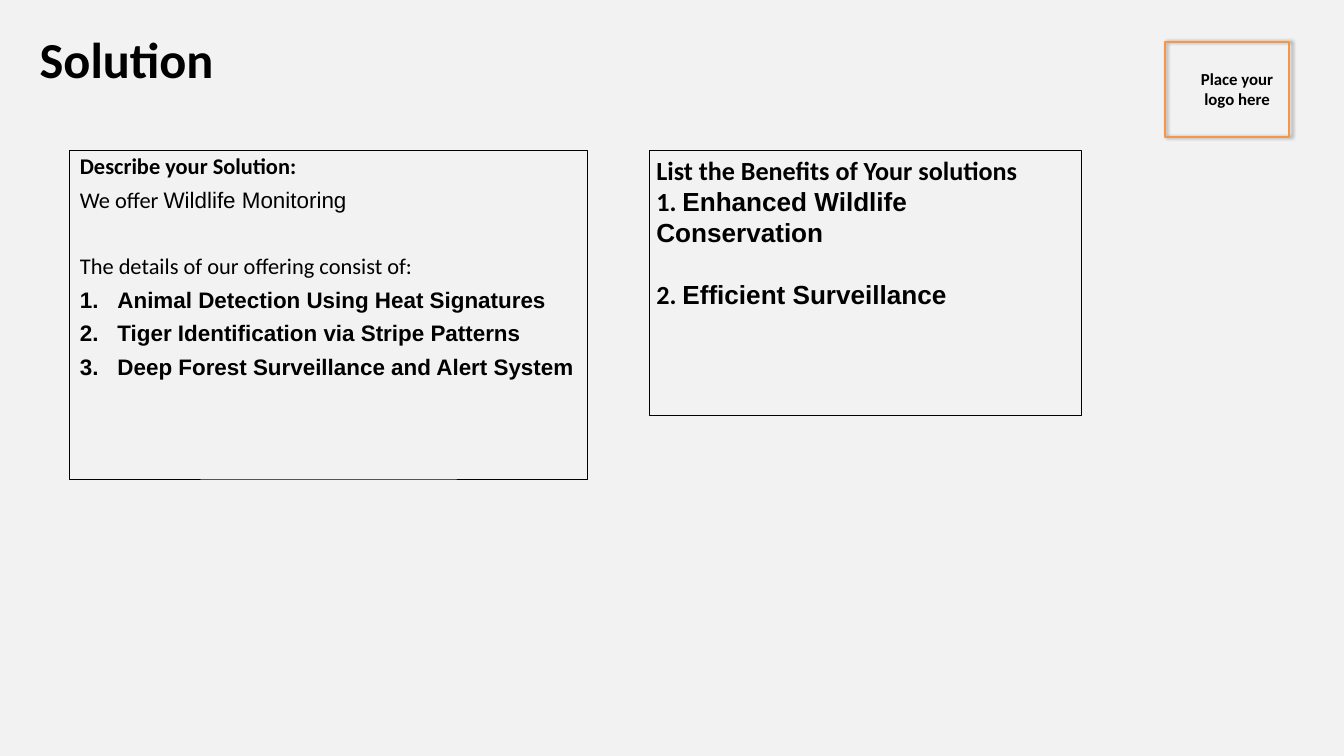
from lxml.etree import SubElement
from pptx import Presentation
from pptx.dml.color import RGBColor
from pptx.enum.shapes import MSO_SHAPE
from pptx.enum.text import MSO_ANCHOR, PP_ALIGN
from pptx.oxml.ns import qn
from pptx.util import Cm, Pt

COLORS = {"background": "F2F2F2", "ink": "000000", "frame": "F79646"}
HEADING_FONT, BODY_FONT = "Calibri", "Arial"
WIDE_INSETS, NARROW_INSETS = (0.38, 0.19), (0.18, 0.1)
BOX_TOP = 5.69
LIST_INDENT = Cm(1.42)

TITLE = {
    "place": (1.12, 0.08, 31.52, 3.28), "insets": WIDE_INSETS, "size": 54,
    "spacing": Pt(87.5),
    "lines": [{"runs": [("Solution", HEADING_FONT)], "bold": True}],
}
SOLUTION = {
    "place": (2.64, BOX_TOP, 19.58, 12.42), "insets": WIDE_INSETS, "size": 24,
    "spacing": 0.9, "before": 10, "outlined": True,
    "lines": [
        {"runs": [("Describe your Solution:", HEADING_FONT)], "bold": True},
        {"runs": [("We offer ", HEADING_FONT), ("Wildlife Monitoring", BODY_FONT)]},
        {"runs": [("The details of our offering consist of:", HEADING_FONT)], "before": 45},
    ] + [
        {"runs": [(offer, BODY_FONT)], "bold": True, "numbered": True}
        for offer in (
            "Animal Detection Using Heat Signatures",
            "Tiger Identification via Stripe Patterns",
            "Deep Forest Surveillance and Alert System",
        )
    ],
}
LOGO_HINT = {
    "place": (44.78, 2.51, 3.96, 1.73), "insets": NARROW_INSETS, "size": 18,
    "align": PP_ALIGN.CENTER,
    "lines": [{"runs": [("Place your logo here", HEADING_FONT)], "bold": True}],
}
LOGO_FRAME = (44.02, 1.6, 4.7, 3.58)
BENEFITS = {
    "place": (24.56, BOX_TOP, 16.31, 10.01), "insets": (0.25, 0.13), "size": 28,
    "outlined": True,
    "lines": [
        {"runs": [("List the Benefits of Your solutions", HEADING_FONT)], "bold": True},
        {"runs": [("1. ", HEADING_FONT), ("Enhanced Wildlife Conservation", BODY_FONT)],
         "bold": True},
        {"runs": [("2. ", HEADING_FONT), ("Efficient Surveillance", BODY_FONT)],
         "bold": True, "before": 33},
    ],
}


def color(name):
    return RGBColor.from_string(COLORS[name])


def add_outline(slide, place, line_color, width):
    outline = slide.shapes.add_shape(MSO_SHAPE.RECTANGLE, *map(Cm, place))
    outline.shadow.inherit = False
    outline.fill.background()
    outline.line.color.rgb = color(line_color)
    outline.line.width = Pt(width)
    return outline


def number(paragraph):
    properties = paragraph._p.get_or_add_pPr()
    properties.set("marL", str(LIST_INDENT))
    properties.set("indent", str(-LIST_INDENT))
    SubElement(properties, qn("a:buFont"), typeface="+mj-lt")
    SubElement(properties, qn("a:buAutoNum"), type="arabicPeriod")


def add_line(paragraph, line, block, first):
    paragraph.alignment = block.get("align", PP_ALIGN.LEFT)
    if "spacing" in block:
        paragraph.line_spacing = block["spacing"]
    before = line.get("before", block.get("before", 0))
    if before and not first:
        paragraph.space_before = Pt(before)
    if line.get("numbered"):
        number(paragraph)
    paragraph.font.size = Pt(block["size"])
    paragraph.font.bold = line.get("bold", False)
    paragraph.font.color.rgb = color("ink")
    fonts = {font for _, font in line["runs"]}
    if len(fonts) == 1:
        paragraph.font.name = line["runs"][0][1]
    for text, font in line["runs"]:
        run = paragraph.add_run()
        run.text = text
        if len(fonts) > 1:
            run.font.name = font


def add_block(slide, block):
    if block.get("outlined"):
        box = add_outline(slide, block["place"], "ink", 0.75)
    else:
        box = slide.shapes.add_textbox(*map(Cm, block["place"]))
    frame = box.text_frame
    frame.word_wrap = True
    frame.vertical_anchor = MSO_ANCHOR.TOP
    side, edge = map(Cm, block["insets"])
    frame.margin_left = frame.margin_right = side
    frame.margin_top = frame.margin_bottom = edge
    for index, line in enumerate(block["lines"]):
        paragraph = frame.add_paragraph() if index else frame.paragraphs[0]
        add_line(paragraph, line, block, index == 0)


def add_logo_frame(slide):
    logo_frame = add_outline(slide, LOGO_FRAME, "frame", 2)
    effects = logo_frame._element.spPr.find(qn("a:effectLst"))
    shadow = SubElement(effects, qn("a:outerShdw"), blurRad=str(Pt(4)),
                        dist=str(Pt(3)), dir="0", rotWithShape="0")
    shade = SubElement(shadow, qn("a:srgbClr"), val=COLORS["ink"])
    SubElement(shade, qn("a:alpha"), val="40000")


def main():
    deck = Presentation()
    deck.slide_width, deck.slide_height = Cm(50.8), Cm(28.58)
    slide = deck.slides.add_slide(deck.slide_layouts[6])
    slide.background.fill.solid()
    slide.background.fill.fore_color.rgb = color("background")
    for block in (TITLE, SOLUTION, LOGO_HINT):
        add_block(slide, block)
    add_logo_frame(slide)
    add_block(slide, BENEFITS)
    deck.save("out.pptx")


if __name__ == "__main__":
    main()
